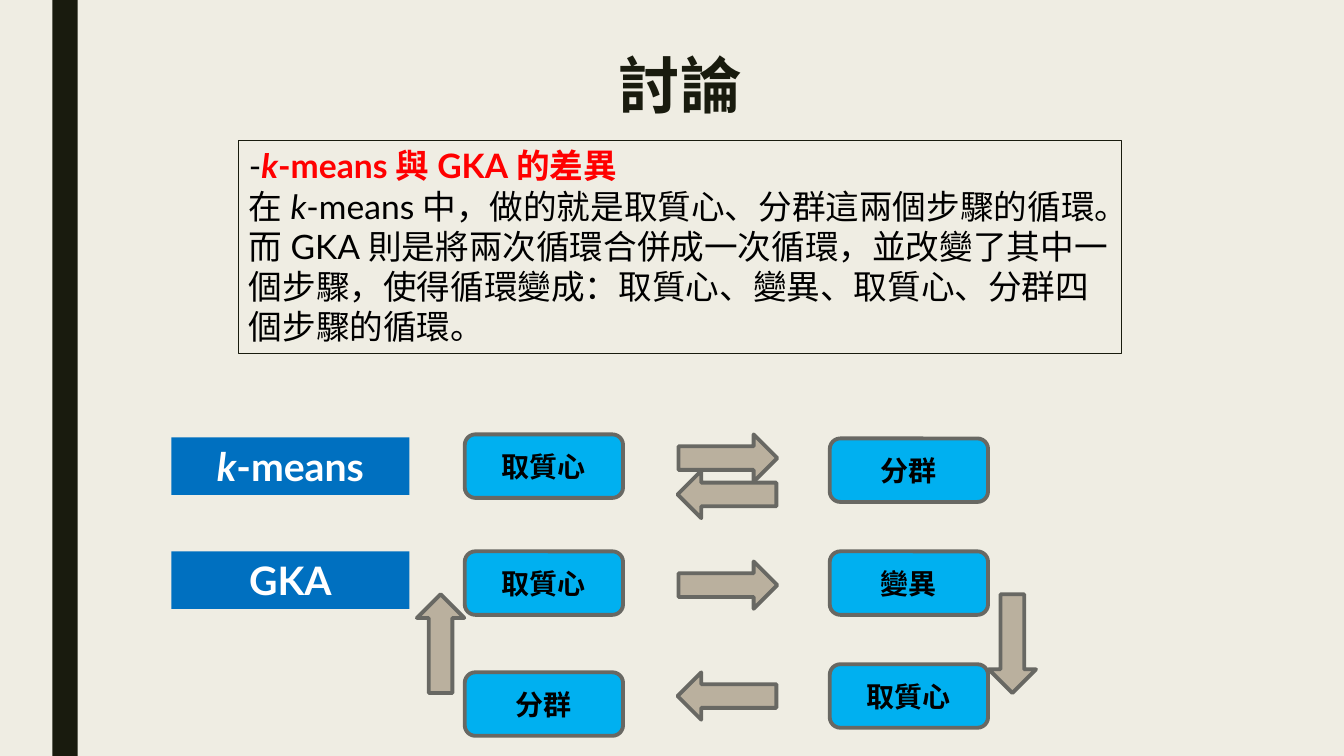
import pptx
import pptx.util
import pptx.dml.color
import pptx.enum.shapes
import pptx.enum.text
import lxml.etree

PX = 9144  # 100 px to the inch
SHAPE = pptx.enum.shapes.MSO_SHAPE
ALIGN = pptx.enum.text.PP_ALIGN
ANCHOR = pptx.enum.text.MSO_ANCHOR
rgb = pptx.dml.color.RGBColor.from_string


def add_shape(kind, box, fill=None, line=None, width=0.75):
    sp = s.shapes.add_shape(kind, *[v * PX for v in box])
    sp.shadow.inherit = False
    if fill:
        sp.fill.solid()
        sp.fill.fore_color.rgb = rgb(fill)
    else:
        sp.fill.background()
    if line:
        sp.line.color.rgb = rgb(line)
        sp.line.width = pptx.util.Pt(width)
    else:
        sp.line.fill.background()
    return sp


def write(sp, paragraphs, size, color, align=ALIGN.CENTER, anchor=ANCHOR.MIDDLE, font="Lato"):
    """Fill a shape with paragraphs of (text, run format) pairs."""
    tf = sp.text_frame
    tf.word_wrap = True
    tf.vertical_anchor = anchor
    for i, runs in enumerate(paragraphs):
        p = tf.paragraphs[0] if i == 0 else tf.add_paragraph()
        p.alignment = align
        for text, extra in runs:
            r = p.add_run()
            r.text = text
            look = {"name": font, "size": pptx.util.Pt(size), **extra}
            r.font.color.rgb = rgb(look.pop("color", color))
            for key, value in look.items():
                setattr(r.font, key, value)
            ea = lxml.etree.SubElement(r.font._element, pptx.oxml.ns.qn("a:ea"))
            ea.set("typeface", "Noto Sans CJK SC")


prs = pptx.Presentation()
prs.slide_width = 1333 * PX
prs.slide_height = 750 * PX
s = prs.slides.add_slide(prs.slide_layouts[6])
s.background.fill.solid()
s.background.fill.fore_color.rgb = rgb("EFEDE3")

DARK = "191B0E"
BOLD = {"bold": True}
ITALIC = {"italic": True}
RED = {"bold": True, "color": "FF0000"}

add_shape(SHAPE.RECTANGLE, (52, 0, 25, 750), DARK)

title = s.shapes.add_textbox(*[v * PX for v in (594, 46, 161, 84)])
write(title, [[("討論", BOLD)]], 44, DARK, font="Noto Sans CJK SC")
title.text_frame.paragraphs[0].line_spacing = 0.89

discussion = add_shape(SHAPE.RECTANGLE, (237, 139, 875, 212), line=DARK)
write(discussion, [
    [("-", {}), ("k", {**RED, **ITALIC}), ("-means與GKA的差異", RED)],
    [("在", {}), ("k", ITALIC),
     ("-means中，做的就是取質心、分群這兩個步驟的循環。而GKA則是將兩次循環合併成一次循環，"
      "並改變了其中一個步驟，使得循環變成：取質心、變異、取質心、分群四個步驟的循環。", {})],
], 24, "000000", ALIGN.LEFT, ANCHOR.TOP)

methods = [
    (434, [("k", {**BOLD, **ITALIC}), ("-means", BOLD)]),
    (547, [("GKA", BOLD)]),
]
for y, runs in methods:
    label = add_shape(SHAPE.RECTANGLE, (170, y, 236, 57), "0070C0")
    write(label, [runs], 28, "FFFFFF")

steps = [
    (461, 431, "取質心"), (823, 435, "分群"),
    (461, 547, "取質心"), (823, 547, "變異"),
    (461, 667, "分群"), (823, 659, "取質心"),
]
for x, y, name in steps:
    step = add_shape(SHAPE.ROUNDED_RECTANGLE, (x, y, 157, 63), "00B0F0", "686863", 2.75)
    write(step, [[(name, BOLD)]], 20, "000000")

arrows = [
    (673, 431, 0), (672, 467, 180),
    (673, 557, 0), (672, 667, 180),
    (388, 615, 270), (955, 615, 90),
]
for x, y, angle in arrows:
    arrow = add_shape(SHAPE.RIGHT_ARROW, (x, y, 98, 47), "BAB09E", "686863", 2.75)
    arrow.rotation = angle

prs.save("out.pptx")
